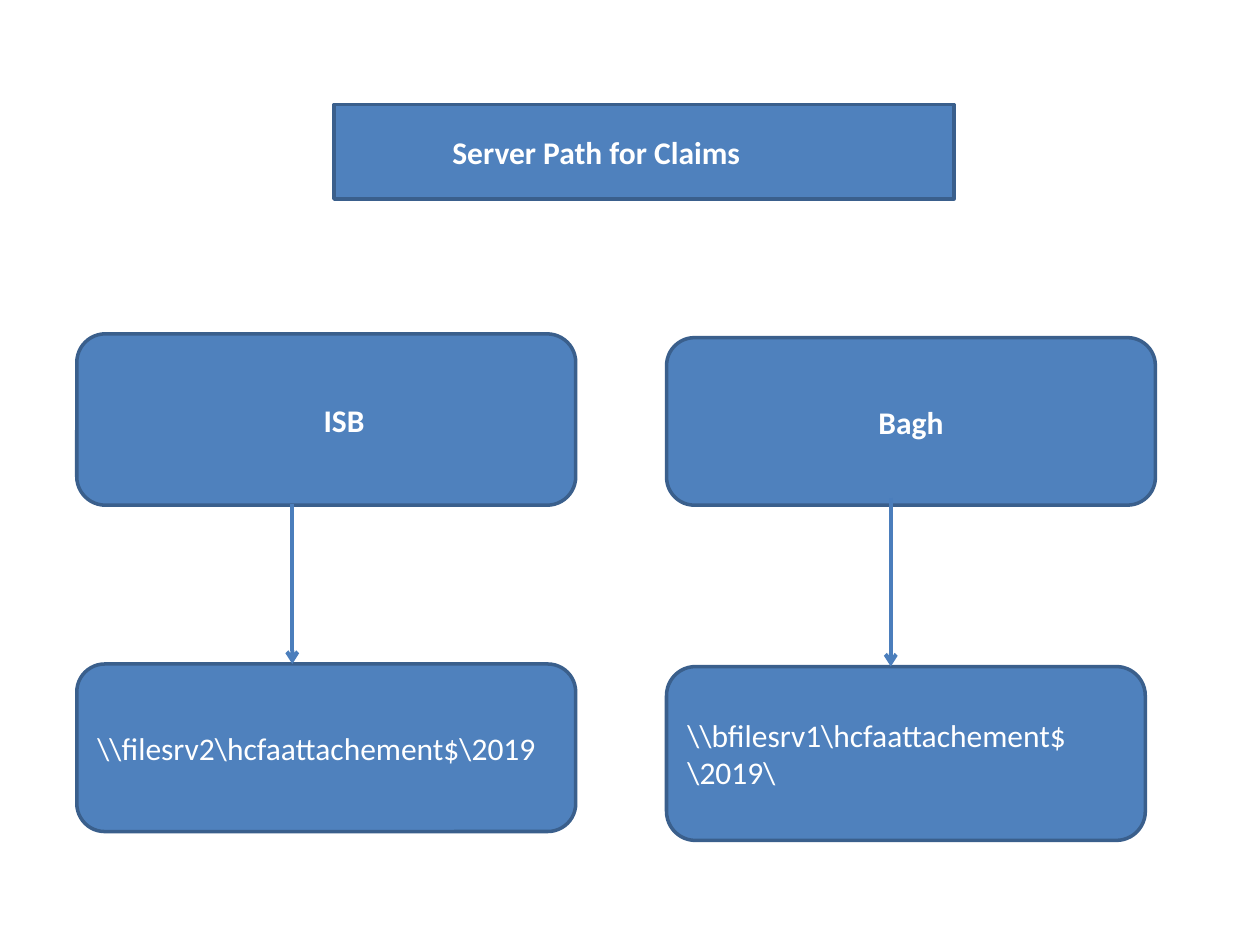
from dataclasses import dataclass

from lxml.etree import SubElement
from pptx import Presentation
from pptx.dml.color import RGBColor
from pptx.enum.shapes import MSO_CONNECTOR as Link, MSO_SHAPE as Shape
from pptx.enum.text import MSO_ANCHOR as Anchor, MSO_AUTO_SIZE as Fit, PP_ALIGN as Align
from pptx.oxml.ns import qn
from pptx.util import Inches, Pt

FILL, EDGE, ARROW, WHITE = "4F81BD", "3A5F8C", "4B7EBC", "FFFFFF"


@dataclass
class Box:
    text: str
    left: float
    top: float
    width: float
    height: float
    bold: bool = True
    align: Align = Align.LEFT
    inset: float = 0.1


@dataclass
class Arrow:
    x: float
    start: float
    end: float


TITLE = Box("Server Path for Claims", 2.65, 0.83, 4.92, 0.75, inset=0.94)
BOXES = [
    Box("Bagh", 5.29, 2.68, 3.88, 1.33, align=Align.CENTER),
    Box("ISB", 0.61, 2.65, 3.96, 1.36, align=Align.CENTER, inset=0.38),
    Box("\\\\bfilesrv1\\hcfaattachement$\\2019\\", 5.29, 5.29, 3.8, 1.38, bold=False),
    Box("\\\\filesrv2\\hcfaattachement$\\2019", 0.61, 5.27, 3.96, 1.33, bold=False),
]
ARROWS = [Arrow(2.32, 4, 5.27), Arrow(7.07, 3.95, 5.29)]


def color(value: str) -> RGBColor:
    return RGBColor.from_string(value)


def style(shape, box: Box) -> None:
    """Paint a box and set its text."""
    shape.fill.solid()
    shape.fill.fore_color.rgb = color(FILL)
    shape.line.color.rgb = color(EDGE)
    shape.line.width = Pt(2)
    shape.shadow.inherit = False
    frame = shape.text_frame
    frame.text = box.text
    frame.word_wrap = True
    frame.auto_size = Fit.NONE
    frame.vertical_anchor = Anchor.MIDDLE
    frame.margin_left = Inches(box.inset)
    para = frame.paragraphs[0]
    para.alignment = box.align
    font = para.font
    font.name, font.size, font.bold = "Calibri", Pt(18), box.bold
    font.color.rgb = color(WHITE)


def add_title(slide, box: Box) -> None:
    """Give the title placeholder a rounded outline."""
    title = slide.shapes.title
    title.left, title.top = Inches(box.left), Inches(box.top)
    title.width, title.height = Inches(box.width), Inches(box.height)
    geom = SubElement(title.element.spPr, qn("a:prstGeom"), prst="roundRect")
    SubElement(geom, qn("a:avLst"))
    style(title, box)


def add_box(slide, box: Box) -> None:
    spot = map(Inches, (box.left, box.top, box.width, box.height))
    style(slide.shapes.add_shape(Shape.ROUNDED_RECTANGLE, *spot), box)


def add_arrow(slide, arrow: Arrow) -> None:
    ends = map(Inches, (arrow.x, arrow.start, arrow.x, arrow.end))
    link = slide.shapes.add_connector(Link.STRAIGHT, *ends)
    link.line.color.rgb = color(ARROW)
    link.line.width = Pt(2.25)
    SubElement(link.line._get_or_add_ln(), qn("a:tailEnd"), type="arrow")
    SubElement(link.element.spPr, qn("a:effectLst"))


def main() -> None:
    deck = Presentation()
    deck.slide_width, deck.slide_height = Inches(10), Inches(7.5)
    slide = deck.slides.add_slide(deck.slide_layouts.get_by_name("Title Only"))
    add_title(slide, TITLE)
    for box in BOXES:
        add_box(slide, box)
    for arrow in ARROWS:
        add_arrow(slide, arrow)
    deck.save("out.pptx")


if __name__ == "__main__":
    main()
